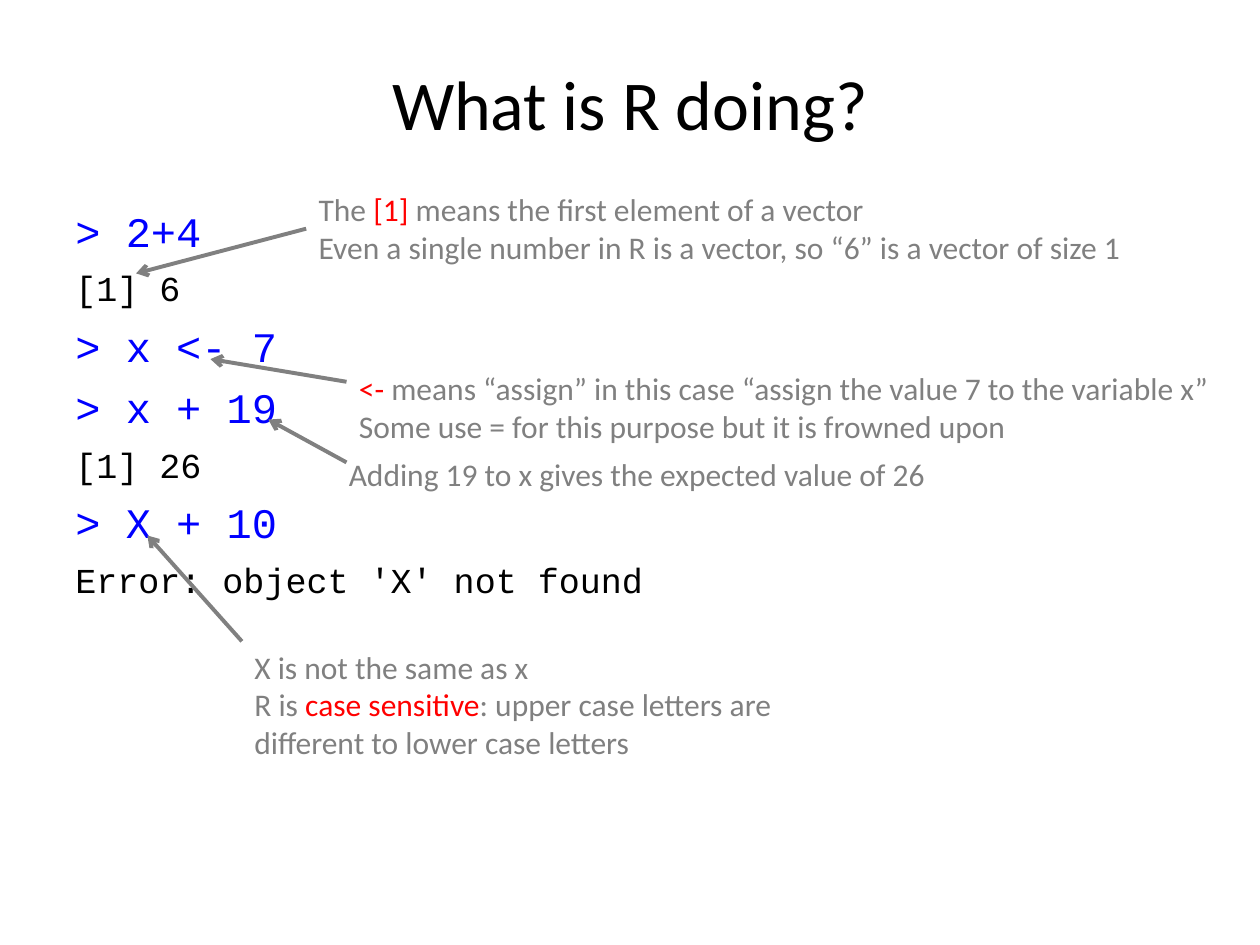
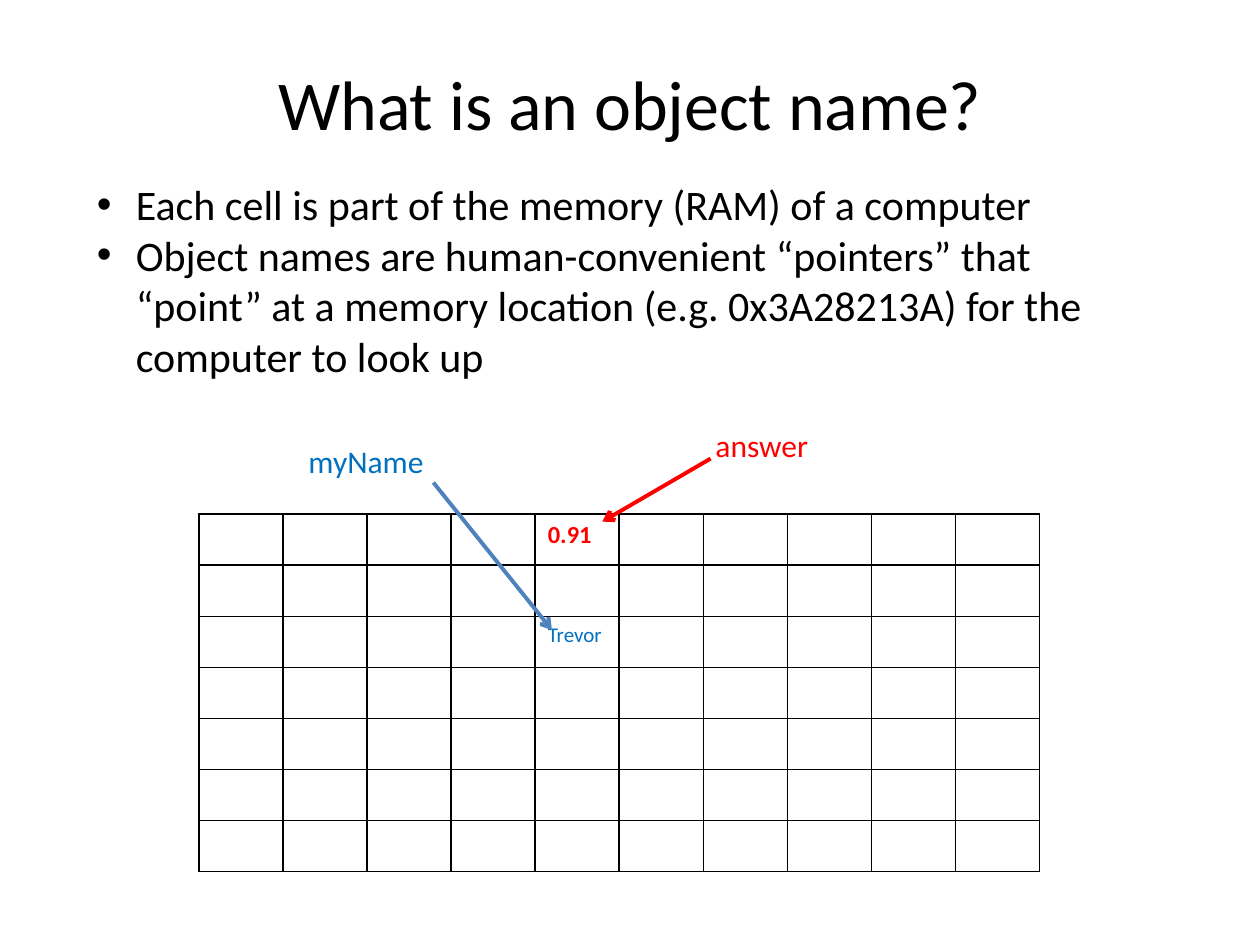
from lxml import etree
from pptx import Presentation
from pptx.dml.color import RGBColor
from pptx.enum.shapes import MSO_CONNECTOR
from pptx.enum.text import MSO_ANCHOR, MSO_AUTO_SIZE, PP_ALIGN
from pptx.oxml.ns import qn
from pptx.util import Inches, Pt

# Shared style
BODY_FONT, CODE_FONT = "Calibri", "Courier New"
BLACK, GREY, RED = "000000", "808080", "FF0000"
INPUT_BLUE, NAME_BLUE, ARROW_BLUE = "0000FF", "0070C0", "4F81BD"


def color(hex_value):
    return RGBColor.from_string(hex_value)


def set_font(font, size, hex_value, name=BODY_FONT, bold=False):
    font.name, font.size, font.bold = name, Pt(size), bold
    font.color.rgb = color(hex_value)


def add_text_frame(slide, left, top, width, height, wrap=True, grow=True):
    sp = slide.shapes.add_textbox(Inches(left), Inches(top),
                                  Inches(width), Inches(height))
    tf = sp.text_frame
    tf.word_wrap = wrap
    tf.auto_size = MSO_AUTO_SIZE.SHAPE_TO_FIT_TEXT if grow else MSO_AUTO_SIZE.NONE
    return sp, tf


def paragraphs(tf, items):
    """Yield one paragraph of the frame for each item."""
    for i, item in enumerate(items):
        yield (tf.add_paragraph() if i else tf.paragraphs[0]), item


def add_title(slide, text):
    _, tf = add_text_frame(slide, 0.5, 0.3, 9, 1.03, grow=False)
    tf.vertical_anchor = MSO_ANCHOR.MIDDLE
    p = tf.paragraphs[0]
    p.text, p.alignment = text, PP_ALIGN.CENTER
    set_font(p.font, 40, BLACK)


def add_console(slide, lines):
    """Typed commands are large and blue, the replies smaller and black."""
    _, tf = add_text_frame(slide, 0.5, 1.58, 9, 5.58, grow=False)
    for p, line in paragraphs(tf, lines):
        p.text, p.space_before = line, Pt(6.4)
        size, hue = (24, INPUT_BLUE) if line.startswith(">") else (20, BLACK)
        set_font(p.font, size, hue, CODE_FONT)


def add_note(slide, box, lines, hue=GREY, wrap=False, align=PP_ALIGN.LEFT):
    """Each line is a list of runs; a run given as a tuple is shown in red."""
    sp, tf = add_text_frame(slide, *box, wrap=wrap)
    for p, runs in paragraphs(tf, lines):
        p.alignment = align
        for run in runs:
            marked = isinstance(run, tuple)
            r = p.add_run()
            r.text = run[0] if marked else run
            set_font(r.font, 18, RED if marked else hue)
    return sp


def add_bullets(slide, box, items):
    _, tf = add_text_frame(slide, *box)
    for p, item in paragraphs(tf, items):
        p.text = item
        set_font(p.font, 24, BLACK)
        pPr = p._p.get_or_add_pPr()
        pPr.set("marL", str(Inches(0.31)))
        pPr.set("indent", str(-Inches(0.31)))
        bullet_font = etree.Element(qn("a:buFont"), typeface="Arial")
        bullet = etree.Element(qn("a:buChar"), char="•")
        pPr.insert(0, bullet_font)
        bullet_font.addnext(bullet)


def add_arrow(slide, start, end, hue=GREY, source=None):
    cxn = slide.shapes.add_connector(MSO_CONNECTOR.STRAIGHT,
                                     *map(Inches, start + end))
    if source is not None:
        cxn.begin_connect(source, 1)
    cxn.line.color.rgb = color(hue)
    cxn.line.width = Pt(2.25)
    etree.SubElement(cxn.line._get_or_add_ln(), qn("a:tailEnd"), type="arrow")
    etree.SubElement(cxn._element.spPr, qn("a:effectLst"))


def add_border(cell):
    tcPr = cell._tc.get_or_add_tcPr()
    for side in ("lnL", "lnR", "lnT", "lnB"):
        ln = etree.SubElement(tcPr, qn("a:" + side), w=str(Pt(1)))
        fill = etree.SubElement(ln, qn("a:solidFill"))
        etree.SubElement(fill, qn("a:srgbClr"), val=BLACK)


def add_memory_grid(slide, rows, cols, values):
    """Draw the memory cells; values maps (row, col) to text, size, colour, bold."""
    table = slide.shapes.add_table(rows, cols, Inches(1.58), Inches(4.08),
                                   Inches(6.67), Inches(2.84)).table
    table.first_row = table.horz_banding = False
    for row in range(rows):
        for col in range(cols):
            cell = table.cell(row, col)
            add_border(cell)
            cell.fill.background()
            if (row, col) in values:
                text, size, hue, bold = values[row, col]
                p = cell.text_frame.paragraphs[0]
                p.text = text
                set_font(p.font, size, hue, bold=bold)


def build_console_slide(slide):
    add_title(slide, "What is R doing?")
    add_console(slide, ["> 2+4", "[1] 6", "> x <- 7", "> x + 19", "[1] 26",
                        "> X + 10", "Error: object 'X' not found"])

    # Notes
    vector_note = add_note(slide, (2.43, 1.46, 6.65, 0.71), [
        ["The ", ("[1] ",), "means the first element of a vector"],
        ["Even a single number in R is a vector, so “6” is a vector of size 1"]])
    add_note(slide, (2.75, 2.88, 7.02, 0.71), [
        [("<-",), " means “assign” in this case “assign the value 7 to the variable x”"],
        ["Some use = for this purpose but it is frowned upon"]])
    add_note(slide, (2.67, 3.56, 4.83, 0.4),
             [["Adding 19 to x gives the expected value of 26"]])
    add_note(slide, (1.92, 5.09, 4.39, 1.01), [
        ["X is not the same as x"],
        ["R is ", ("case sensitive",),
         ": upper case letters are different to lower case letters"]], wrap=True)

    # Arrows from the notes to the code
    add_arrow(slide, (2.43, 1.81), (1.08, 2.17), source=vector_note)
    for start, end in [((2.75, 3.03), (1.67, 2.85)),
                       ((2.75, 3.67), (2.13, 3.33)),
                       ((1.92, 5.09), (1.17, 4.25))]:
        add_arrow(slide, start, end)


def build_object_name_slide(slide):
    add_title(slide, "What is an object name?")
    add_memory_grid(slide, 7, 10, {(0, 4): ("0.91", 14, RED, True),
                                   (2, 4): ("Trevor", 12, NAME_BLUE, False)})
    add_bullets(slide, (0.67, 1.37, 8.67, 1.72), [
        "Each cell is part of the memory (RAM) of a computer",
        "Object names are human-convenient “pointers” that “point” at a memory "
        "location (e.g. 0x3A28213A) for the computer to look up"])

    # Names pointing at their cells
    add_note(slide, (5.58, 3.33, 1.13, 0.4), [["answer"]], RED, wrap=True)
    add_arrow(slide, (5.64, 3.64), (4.78, 4.14), RED)
    add_arrow(slide, (3.44, 3.83), (4.38, 5), ARROW_BLUE)
    add_note(slide, (2.33, 3.46, 1.13, 0.4), [["myName"]], NAME_BLUE,
             wrap=True, align=PP_ALIGN.RIGHT)


def main():
    prs = Presentation()
    prs.slide_width, prs.slide_height = Inches(10), Inches(7.5)
    for build in (build_console_slide, build_object_name_slide):
        build(prs.slides.add_slide(prs.slide_layouts[6]))
    prs.save("out.pptx")


if __name__ == "__main__":
    main()
